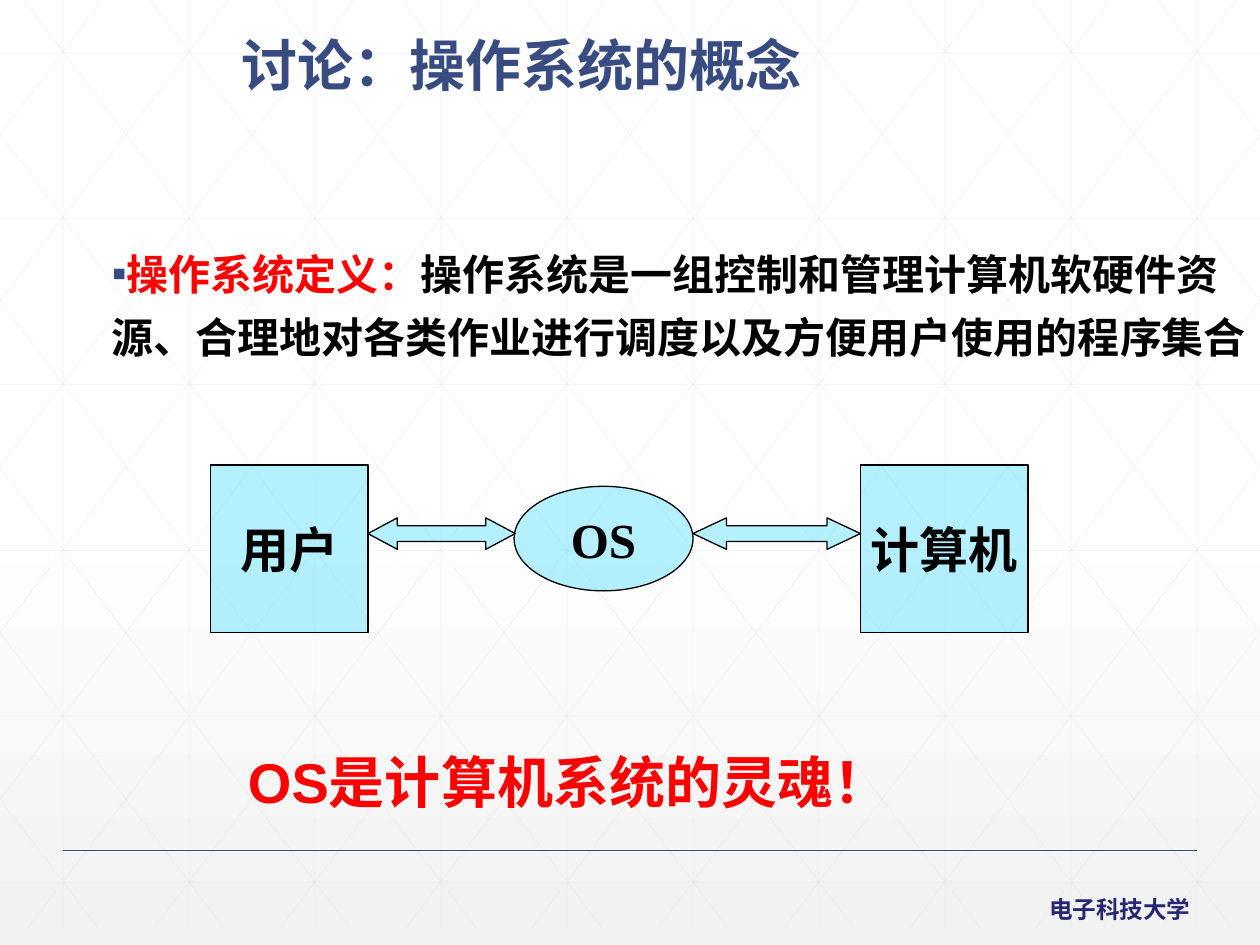
"""Builds a slide that discusses the concept of an operating system."""
from dataclasses import dataclass

from lxml import etree
from pptx import Presentation
from pptx.dml.color import RGBColor
from pptx.enum import shapes, text
from pptx.oxml import ns
from pptx.util import Inches, Pt

WHITE = RGBColor(0xFF, 0xFF, 0xFF)
PALE_GREY = RGBColor(0xF2, 0xF2, 0xF2)
GRID_GREY = RGBColor(0xD9, 0xD9, 0xD9)
NAVY = RGBColor(0x38, 0x4C, 0x81)
INDIGO = RGBColor(0x26, 0x26, 0x73)
RED = RGBColor(0xFF, 0x00, 0x00)
BLACK = RGBColor(0x00, 0x00, 0x00)
CYAN = RGBColor(0x00, 0xCC, 0xFF)

CHINESE = "Noto Sans CJK SC"
SERIF = "Times New Roman"
WIDTH, HEIGHT = 10, 7.5
GRID_BOTTOM = 7.37
DIAGONAL_RUN = 5.59


@dataclass(frozen=True)
class Span:
    words: str
    size: float
    color: RGBColor
    font: str = CHINESE


@dataclass(frozen=True)
class Node:
    kind: shapes.MSO_SHAPE
    left: float
    top: float
    width: float
    height: float
    label: str = ""


NODES = (
    Node(shapes.MSO_SHAPE.RECTANGLE, 1.67, 3.69, 1.25, 1.33, "用户"),
    Node(shapes.MSO_SHAPE.RECTANGLE, 6.83, 3.69, 1.33, 1.33, "计算机"),
    Node(shapes.MSO_SHAPE.OVAL, 4.08, 3.86, 1.42, 0.83, "OS"),
    Node(shapes.MSO_SHAPE.LEFT_RIGHT_ARROW, 2.92, 4.11, 1.17, 0.25),
    Node(shapes.MSO_SHAPE.LEFT_RIGHT_ARROW, 5.5, 4.11, 1.33, 0.25),
)


def set_alpha(fill_owner, percent: int) -> None:
    """Make the solid fill inside an element partly transparent."""
    color = fill_owner.find(".//" + ns.qn("a:solidFill"))[0]
    etree.SubElement(color, ns.qn("a:alpha"), val=str(percent * 1000))


def add_line(slide, start: tuple, end: tuple, color: RGBColor, width: float):
    """Draw a straight line without a shadow."""
    points = [Inches(value) for value in (*start, *end)]
    line = slide.shapes.add_connector(shapes.MSO_CONNECTOR.STRAIGHT, *points)
    line.line.color.rgb = color
    line.line.width = Pt(width)
    etree.SubElement(line._element.spPr, ns.qn("a:effectLst"))
    return line


def diagonal(offset: float) -> tuple:
    """Return the ends of a falling diagonal, clipped to the slide."""
    slope = GRID_BOTTOM / DIAGONAL_RUN
    left, right = max(offset, 0), min(offset + DIAGONAL_RUN, WIDTH)
    return (left, (left - offset) * slope), (right, (right - offset) * slope)


def add_grid(slide) -> None:
    """Draw the faint triangular grid behind the content."""
    ends = [((x + 0.5, 0), (x + 0.5, GRID_BOTTOM)) for x in range(WIDTH)]
    rows = [0.42 + 1.316 * row for row in range(6)]
    ends += [((0, y), (WIDTH, y)) for y in rows]
    falling = [diagonal(step + 0.19) for step in range(-5, WIDTH)]
    ends += falling
    ends += [((WIDTH - a, b), (WIDTH - c, d)) for (a, b), (c, d) in falling]
    for start, end in ends:
        line = add_line(slide, start, end, GRID_GREY, 0.5)
        set_alpha(line._element.spPr, 25)


def write(para, spans: tuple) -> None:
    """Fill a paragraph with formatted bold spans."""
    for span in spans:
        run = para.add_run()
        run.text = span.words
        run.font.size = Pt(span.size)
        run.font.bold = True
        run.font.name = span.font
        run.font.color.rgb = span.color
        etree.SubElement(run.font._element, ns.qn("a:ea"), typeface=CHINESE)


def add_text(slide, area: tuple, spans: tuple, wrap: bool = True):
    """Add a text box and return its paragraph."""
    box = slide.shapes.add_textbox(*(Inches(value) for value in area))
    box.text_frame.word_wrap = wrap
    para = box.text_frame.paragraphs[0]
    write(para, spans)
    return para


def add_bullet(para, symbol: str, color: RGBColor) -> None:
    """Give a paragraph a coloured bullet without a hanging indent."""
    props = para._p.get_or_add_pPr()
    props.set("marL", "0")
    props.set("indent", "0")
    paint = etree.SubElement(props, ns.qn("a:buClr"))
    etree.SubElement(paint, ns.qn("a:srgbClr"), val=str(color))
    etree.SubElement(props, ns.qn("a:buFont"), typeface="Arial")
    etree.SubElement(props, ns.qn("a:buChar"), char=symbol)


def add_node(slide, node: Node) -> None:
    """Draw one part of the user, OS and computer diagram."""
    area = (node.left, node.top, node.width, node.height)
    shape = slide.shapes.add_shape(node.kind, *(Inches(value) for value in area))
    shape.shadow.inherit = False
    shape.fill.solid()
    shape.fill.fore_color.rgb = CYAN
    set_alpha(shape._element.spPr, 29)
    shape.line.color.rgb = BLACK
    shape.line.width = Pt(0.75)
    if node.kind == shapes.MSO_SHAPE.LEFT_RIGHT_ARROW:
        shape.adjustments[0] = 0.5
        shape.adjustments[1] = node.width / 5 / node.height
    if node.label:
        frame = shape.text_frame
        frame.word_wrap = False
        frame.vertical_anchor = text.MSO_ANCHOR.MIDDLE
        frame.paragraphs[0].alignment = text.PP_ALIGN.CENTER
        write(frame.paragraphs[0], (Span(node.label, 28, BLACK, SERIF),))


def paint_background(slide) -> None:
    """Fade the background from white to pale grey at the bottom."""
    fill = slide.background.fill
    fill.gradient()
    fill.gradient_angle = 270
    for stop, color, position in zip(fill.gradient_stops, (WHITE, PALE_GREY), (0.53, 1)):
        stop.color.rgb = color
        stop.position = position


def main() -> None:
    """Build and save the deck."""
    deck = Presentation()
    deck.slide_width, deck.slide_height = Inches(WIDTH), Inches(HEIGHT)
    slide = deck.slides.add_slide(deck.slide_layouts[6])
    paint_background(slide)
    add_grid(slide)
    add_line(slide, (0.5, 6.75), (9.5, 6.75), NAVY, 1)
    add_text(slide, (8.23, 7.05, 1.34, 0.33), (Span("电子科技大学", 13.5, INDIGO),), False)

    definition = add_text(slide, (0.79, 1.82, 9.21, 2.25), (
        Span("操作系统定义：", 24, RED),
        Span("操作系统是一组控制和管理计算机软硬件资源、合理地对各类作业进行调度以及方便用户使用的程序集合", 24, BLACK),
    ))
    definition.line_spacing = 1.25
    add_bullet(definition, "▪", NAVY)

    title = add_text(slide, (1.67, 0.25, 8.33, 1.08), (Span("讨论：操作系统的概念", 32, NAVY),))
    title.line_spacing = 0.9
    title._p.get_or_add_pPr().set("marL", str(Inches(0.15)))

    for node in NODES:
        add_node(slide, node)
    add_text(slide, (1.87, 5.88, 9.33, 0.63), (Span("OS是计算机系统的灵魂！", 32, RED, "Arial"),))
    deck.save("out.pptx")


if __name__ == "__main__":
    main()
